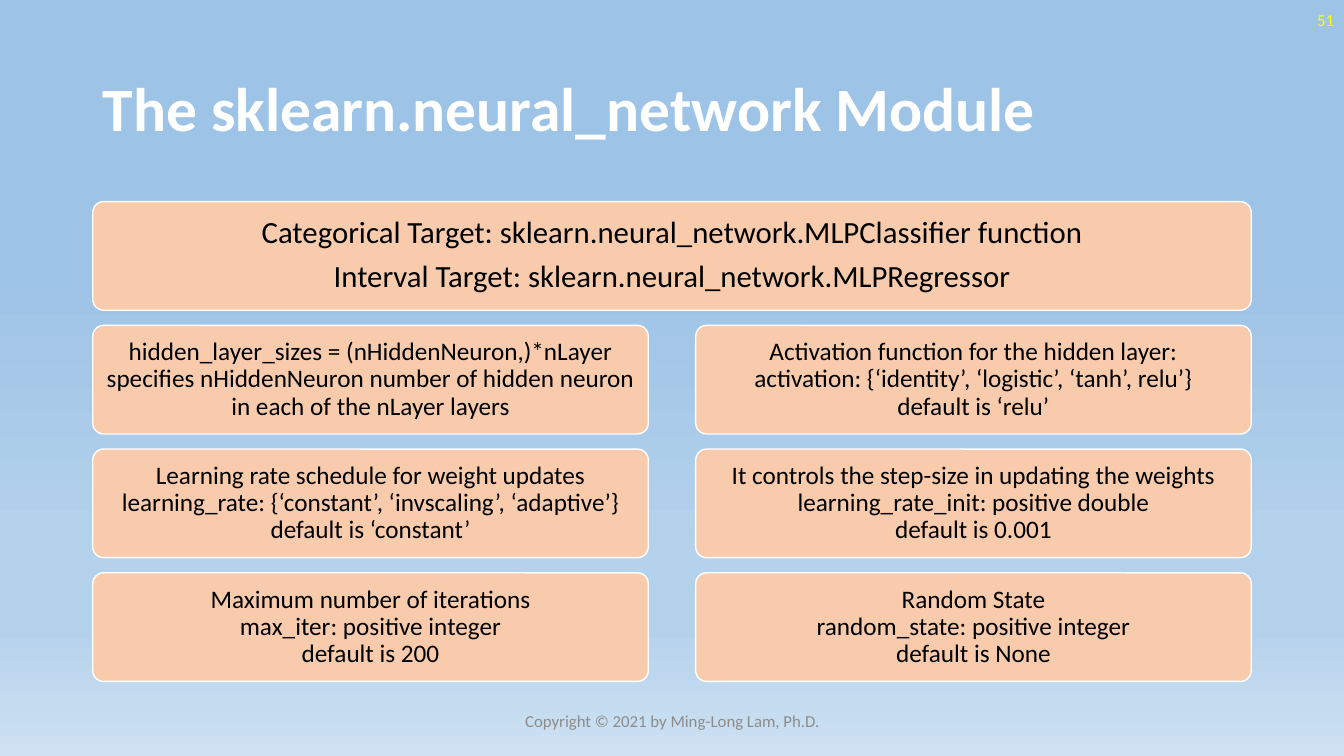
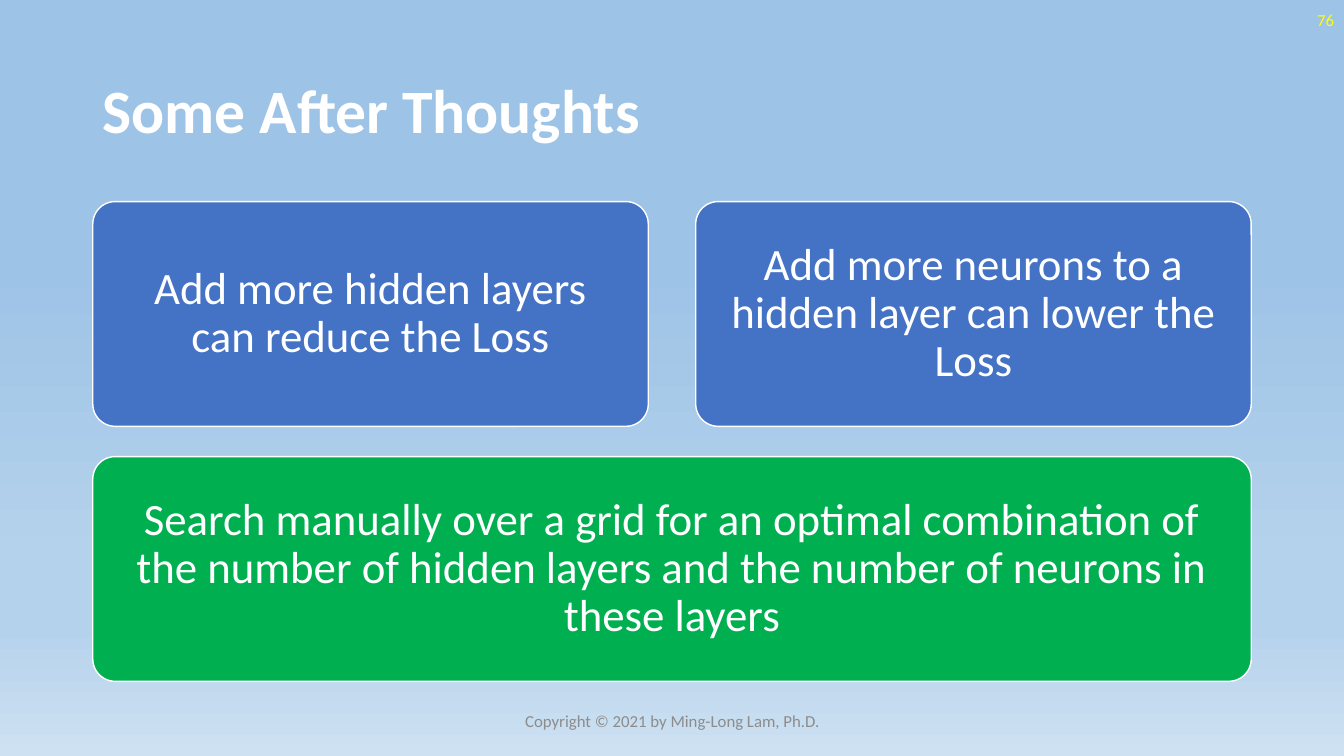
from pptx import Presentation
from pptx.dml.color import RGBColor
from pptx.enum.shapes import MSO_SHAPE as Shape
from pptx.enum.text import MSO_ANCHOR as Anchor, PP_ALIGN as Align
from pptx.oxml import parse_xml
from pptx.oxml.ns import nsdecls
from pptx.util import Inches, Pt

FONT = "Calibri"
COLORS = {
    "white": "FFFFFF", "black": "000000", "yellow": "FFFF00", "gray": "8C8C8C",
    "peach": "F8CBAD", "blue": "4472C4", "green": "00B050",
}
SKY_STOPS = [(35, "9DC3E6"), (74, "B5D2EC"), (83, "B5D2EC"), (100, "CEE1F2")]
COPYRIGHT = "Copyright © 2021 by Ming-Long Lam, Ph.D."

# Card grid: two columns, rows sharing one fixed height
GRID_LEFT, GRID_TOP, GRID_WIDTH, GRID_HEIGHT = 0.92, 2, 11.49, 4.76
COLUMN_GAP = 0.47
COLUMN_WIDTH = (GRID_WIDTH - COLUMN_GAP) / 2

# Each card: row, column, columns spanned, fill, text color, size, inset, text
# A vertical tab (\v) is a line break inside a paragraph
PEACH_CARD = ("peach", "black", 18, 0.1)
BLUE_CARD = ("blue", "white", 32, 0.2)
PAGES = [
    {
        "title": "The sklearn.neural_network Module",
        "title_top": 0.45, "title_height": 1.32, "number": "51",
        "rows": 4, "row_gap": 0.15,
        "cards": [
            (0, 0, 2, "peach", "black", 22, 0.12,
             "Categorical Target: sklearn.neural_network.MLPClassifier function\n"
             "Interval Target: sklearn.neural_network.MLPRegressor"),
            (1, 0, 1, *PEACH_CARD,
             "hidden_layer_sizes = (nHiddenNeuron,)*nLayer specifies nHiddenNeuron "
             "number of hidden neuron in each of the nLayer layers"),
            (2, 0, 1, *PEACH_CARD,
             "Learning rate schedule for weight updates learning_rate: "
             "{‘constant’, ‘invscaling’, ‘adaptive’}\vdefault is ‘constant’"),
            (3, 0, 1, *PEACH_CARD,
             "Maximum number of iterations\vmax_iter: positive integer\vdefault is 200"),
            (1, 1, 1, *PEACH_CARD,
             "Activation function for the hidden layer:\v"
             "activation: {‘identity’, ‘logistic’, ‘tanh’, relu’}\vdefault is ‘relu’"),
            (2, 1, 1, *PEACH_CARD,
             "It controls the step-size in updating the weights\v"
             "learning_rate_init: positive double\vdefault is 0.001"),
            (3, 1, 1, *PEACH_CARD,
             "Random State\vrandom_state: positive integer\vdefault is None"),
        ],
    },
    {
        "title": "Some After Thoughts",
        "title_top": 0.4, "title_height": 1.45, "number": "76",
        "rows": 2, "row_gap": 0.3,
        "cards": [
            (1, 0, 2, "green", "white", 32, 0.2,
             "Search manually over a grid for an optimal combination of the number of "
             "hidden layers and the number of neurons in these layers"),
            (0, 0, 1, *BLUE_CARD, "Add more hidden layers can reduce the Loss"),
            (0, 1, 1, *BLUE_CARD, "Add more neurons to a hidden layer can lower the Loss"),
        ],
    },
]


def write_text(box, text, size, color, align, spacing=1.0, after=0, bold=False):
    frame = box.text_frame
    frame.word_wrap = True
    frame.vertical_anchor = Anchor.MIDDLE
    frame.text = text
    for para in frame.paragraphs:
        para.alignment = align
        para.line_spacing = spacing
        para.space_after = Pt(after)
        for span in para.runs:
            span.font.name = FONT
            span.font.size = Pt(size)
            span.font.bold = bold
            span.font.color.rgb = RGBColor.from_string(COLORS[color])


def add_label(page, left, top, width, height, *text_style, **options):
    box = page.shapes.add_textbox(Inches(left), Inches(top), Inches(width), Inches(height))
    write_text(box, *text_style, **options)


deck = Presentation()
deck.slide_width, deck.slide_height = Inches(13.33), Inches(7.5)

for content in PAGES:
    page = deck.slides.add_slide(deck.slide_layouts[6])

    # Background gradient, top to bottom
    sky = page.background.fill
    sky.gradient()
    sky.gradient_angle = 270
    stop_list = page.element.xpath(".//p:bg//a:gsLst")[0]
    for stop in list(stop_list):
        stop_list.remove(stop)
    for percent, color in SKY_STOPS:
        stop_list.append(parse_xml(
            f'<a:gs {nsdecls("a")} pos="{percent * 1000}"><a:srgbClr val="{color}"/></a:gs>'))

    # Title and page number
    add_label(page, 0.92, content["title_top"], 11.5, content["title_height"],
              content["title"], 44, "white", Align.LEFT, spacing=0.9, bold=True)
    add_label(page, 10.33, 0, 3, 0.4, content["number"], 12, "yellow", Align.RIGHT)

    # Cards
    rows, row_gap = content["rows"], content["row_gap"]
    row_height = (GRID_HEIGHT - row_gap * (rows - 1)) / rows
    for row, column, columns, fill, color, size, inset, text in content["cards"]:
        card = page.shapes.add_shape(
            Shape.ROUNDED_RECTANGLE,
            Inches(GRID_LEFT + column * (COLUMN_WIDTH + COLUMN_GAP)),
            Inches(GRID_TOP + row * (row_height + row_gap)),
            Inches(columns * COLUMN_WIDTH + (columns - 1) * COLUMN_GAP),
            Inches(row_height))
        card.adjustments[0] = 0.1
        card.shadow.inherit = False
        card.fill.solid()
        card.fill.fore_color.rgb = RGBColor.from_string(COLORS[fill])
        card.line.color.rgb = RGBColor.from_string(COLORS["white"])
        card.line.width = Pt(1)
        frame = card.text_frame
        frame.margin_left = frame.margin_right = Inches(inset)
        frame.margin_top = frame.margin_bottom = Inches(inset)
        write_text(card, text, size, color, Align.CENTER, spacing=0.9, after=0.35 * size)

    # Footer
    add_label(page, 4.42, 6.95, 4.5, 0.4, COPYRIGHT, 12, "gray", Align.CENTER)

deck.save("out.pptx")
